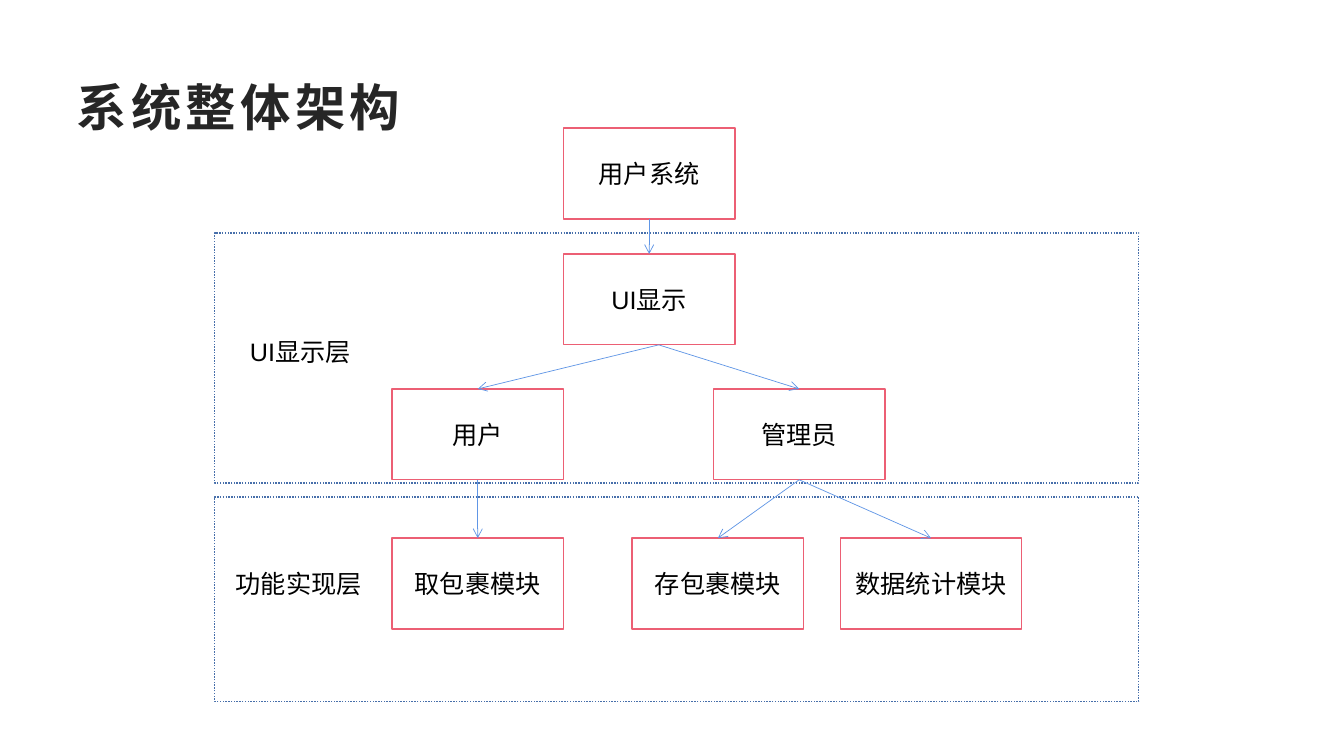
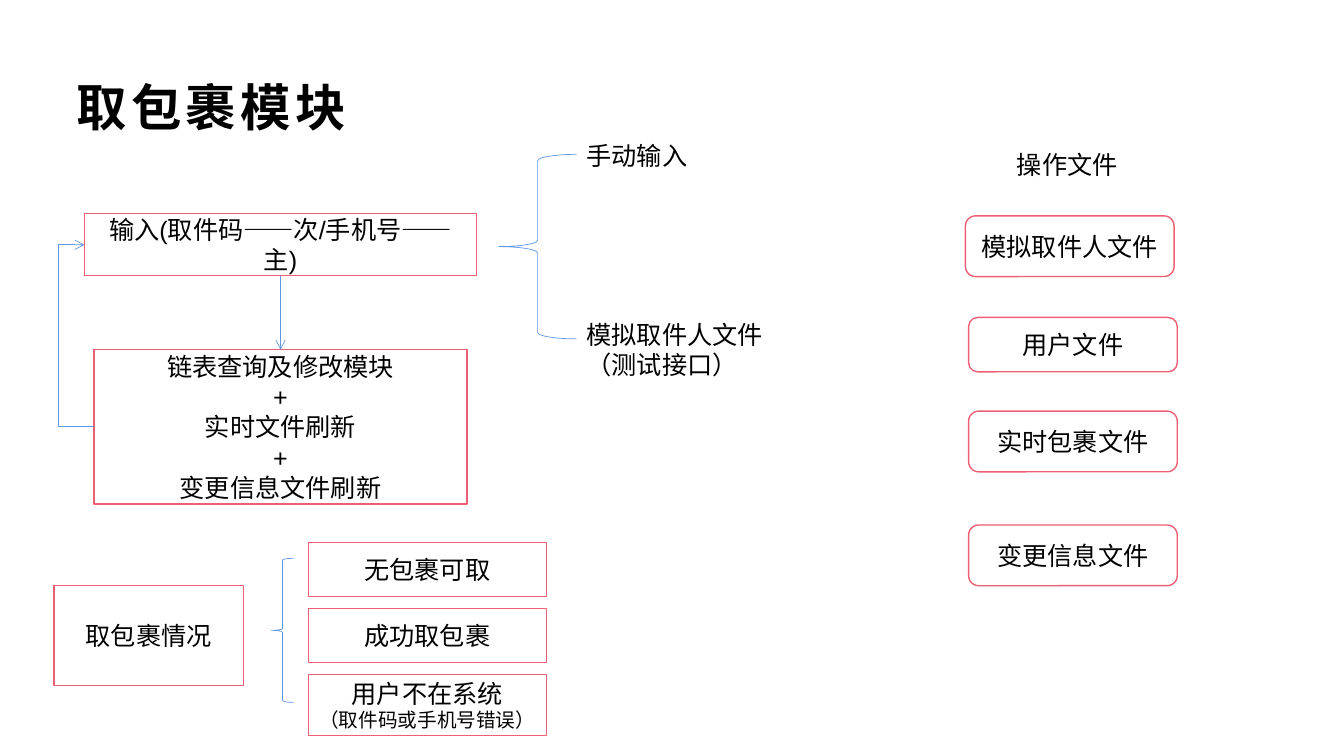
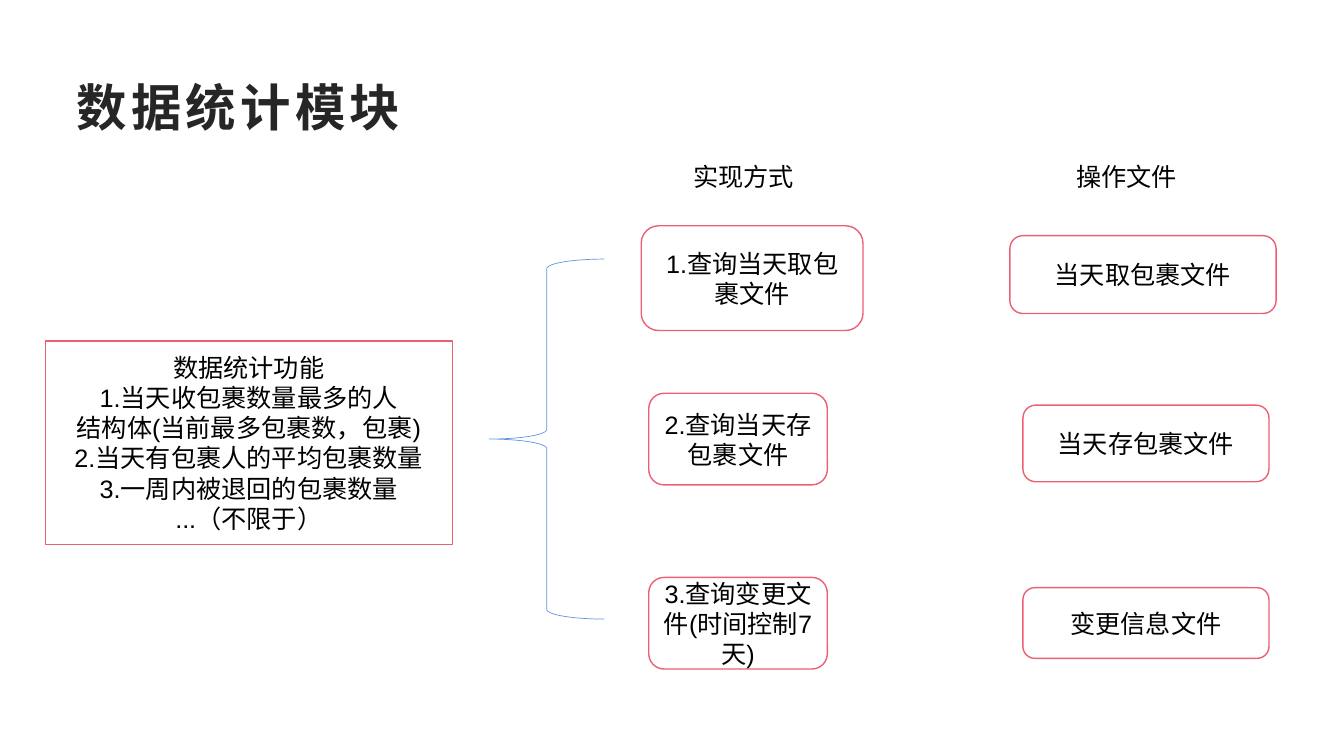
from lxml import etree
from pptx import Presentation
from pptx import util as u
from pptx.dml.color import RGBColor
from pptx.enum import dml, shapes, text
from pptx.oxml import ns

WHITE = RGBColor(0xFF, 0xFF, 0xFF)
BLACK = RGBColor(0x00, 0x00, 0x00)
CHARCOAL = RGBColor(0x26, 0x26, 0x26)
ROSE = RGBColor(0xEC, 0x5F, 0x74)
BLUE = RGBColor(0x60, 0x96, 0xE6)
NAVY = RGBColor(0x47, 0x6F, 0xAA)

FONT = "Arial"
BODY_SIZE = 18
CAPTION_HEIGHT = 1.02
RECT = shapes.MSO_SHAPE.RECTANGLE
ROUNDED = shapes.MSO_SHAPE.ROUNDED_RECTANGLE
BRACE = shapes.MSO_SHAPE.LEFT_BRACE
TOP, BOTTOM = 0, 2


def cm(*lengths):
    return [u.Cm(length) for length in lengths]


def add_run(paragraph, words, size=BODY_SIZE, color=BLACK):
    run = paragraph.add_run()
    run.text = words
    run.font.name = FONT
    run.font.size = u.Pt(size)
    run.font.color.rgb = color
    return run


def add_title(slide, words, color=CHARCOAL):
    frame = slide.shapes.add_textbox(*cm(1.69, 1.7, 30.48, 1.96)).text_frame
    frame.word_wrap = True
    frame.vertical_anchor = text.MSO_ANCHOR.MIDDLE
    run = add_run(frame.paragraphs[0], words, 36, color)
    run.font.bold = True
    run.font._element.set("spc", "300")


def add_caption(slide, words, left, top, width, height=CAPTION_HEIGHT):
    frame = slide.shapes.add_textbox(*cm(left, top, width, height)).text_frame
    frame.word_wrap = True
    frame.auto_size = text.MSO_AUTO_SIZE.SHAPE_TO_FIT_TEXT
    add_run(frame.paragraphs[0], words)


def add_outline(slide, kind, place, color, weight):
    outline = slide.shapes.add_shape(kind, *cm(*place))
    outline.shadow.inherit = False
    outline.line.color.rgb = color
    outline.line.width = u.Pt(weight)
    if kind == BRACE:
        outline.fill.background()
    else:
        outline.fill.solid()
        outline.fill.fore_color.rgb = WHITE
    return outline


def add_box(slide, lines, left, top, width, height, kind=RECT, sizes=None):
    box = add_outline(slide, kind, (left, top, width, height), ROSE, 1)
    frame = box.text_frame
    frame.word_wrap = True
    frame.vertical_anchor = text.MSO_ANCHOR.MIDDLE
    for index, words in enumerate(lines.split("\n")):
        paragraph = frame.add_paragraph() if index else frame.paragraphs[0]
        paragraph.alignment = text.PP_ALIGN.CENTER
        add_run(paragraph, words, sizes[index] if sizes else BODY_SIZE)
    return box


def add_layer(slide, top, height):
    layer = add_outline(slide, RECT, (5.41, top, 23.29, height), NAVY, 1)
    layer.line.dash_style = dml.MSO_LINE.ROUND_DOT


def add_brace(slide, *place):
    add_outline(slide, BRACE, place, BLUE, 0.5)


def add_arrow(slide, kind, begin, end):
    arrow = slide.shapes.add_connector(kind, *cm(*begin, *end))
    arrow.line.color.rgb = BLUE
    arrow.line.width = u.Pt(0.5)
    etree.SubElement(arrow.line._get_or_add_ln(), ns.qn("a:tailEnd"), type="arrow")
    etree.SubElement(arrow._element.spPr, ns.qn("a:effectLst"))
    return arrow


def link_down(slide, source, target, start=None):
    arrow = add_arrow(slide, shapes.MSO_CONNECTOR.STRAIGHT, start or (0, 0), (0, 0))
    if start is None:
        arrow.begin_connect(source, BOTTOM)
    arrow.end_connect(target, TOP)


def add_loop_back(slide, begin, end, detour):
    loop = add_arrow(slide, shapes.MSO_CONNECTOR.ELBOW, begin, end)
    share = round(detour / (begin[0] - end[0]) * 100000)
    guides = loop._element.spPr.find(ns.qn("a:prstGeom")).get_or_add_avLst()
    etree.SubElement(guides, ns.qn("a:gd"), name="adj1", fmla=f"val {share}")


def build_architecture(slide):
    add_layer(slide, 5.87, 6.3)
    add_layer(slide, 12.52, 5.16)
    add_title(slide, "系统整体架构")

    def node(words, left, top, width=4.32):
        return add_box(slide, words, left, top, width, 2.29)

    system = node("用户系统", 14.2, 3.23)
    display = node("UI显示", 14.2, 6.4)
    customer = node("用户", 9.88, 9.8)
    manager = node("管理员", 17.98, 9.8)
    pickup = node("取包裹模块", 9.88, 13.56)
    storage = node("存包裹模块", 15.93, 13.56)
    statistics = node("数据统计模块", 21.18, 13.56, 4.57)

    link_down(slide, system, display)
    for role in (customer, manager):
        link_down(slide, display, role, start=(16.6, 8.69))
    link_down(slide, customer, pickup)
    for module in (storage, statistics):
        link_down(slide, manager, module)

    add_caption(slide, "功能实现层", 5.69, 14.2, 3.84)
    add_caption(slide, "UI显示层", 6.05, 8.34, 3.84)


def build_pickup(slide):
    add_title(slide, "取包裹模块", BLACK)
    add_box(slide, "取包裹情况", 1.36, 14.76, 4.78, 2.51)
    outcomes = [
        ("无包裹可取", 1.37),
        ("成功取包裹", 1.37),
        ("用户不在系统\n（取件码或手机号错误）", 1.55),
    ]
    for row, (outcome, height) in enumerate(outcomes):
        add_box(slide, outcome, 7.77, 13.67 + row * 1.66, 6, height,
                sizes=(BODY_SIZE, 14))
    add_brace(slide, 6.84, 14.07, 0.56, 3.63)

    add_caption(slide, "操作文件", 25.38, 3.65, 3.18)
    for name, left, top, height in [
        ("模拟取件人文件", 24.33, 5.44, 1.53),
        ("用户文件", 24.41, 8, 1.37),
        ("实时包裹文件", 24.41, 10.36, 1.53),
        ("变更信息文件", 24.41, 13.23, 1.53),
    ]:
        add_box(slide, name, left, top, 5.26, height, ROUNDED)

    entry = add_box(slide, "输入(取件码——次/手机号——主)", 2.13, 5.38, 9.88, 1.57)
    add_brace(slide, 12.57, 3.89, 1.96, 4.65)
    add_caption(slide, "手动输入", 14.53, 3.4, 6.3)
    add_caption(slide, "模拟取件人文件（测试接口）", 14.53, 7.92, 5.56, 2.57)
    update = add_box(slide, "链表查询及修改模块\n+\n实时文件刷新\n+\n变更信息文件刷新",
                     2.37, 8.81, 9.4, 3.89)
    link_down(slide, entry, update)
    add_loop_back(slide, (2.37, 10.75), (2.13, 6.17), 0.9)


def build_statistics(slide):
    add_title(slide, "数据统计模块")
    add_box(slide, "数据统计功能\n1.当天收包裹数量最多的人\n"
            "结构体(当前最多包裹数，包裹)\n2.当天有包裹人的平均包裹数量\n"
            "3.一周内被退回的包裹数量\n...（不限于）", 1.14, 8.59, 10.26, 5.13)
    add_brace(slide, 12.33, 6.53, 2.9, 9.07)

    add_caption(slide, "实现方式", 17.22, 3.94, 3.51)
    add_caption(slide, "操作文件", 26.87, 3.94, 3.99)
    for words, *place in [
        ("1.查询当天取包裹文件", 16.16, 5.69, 5.59, 2.64),
        ("2.查询当天存包裹文件", 16.35, 9.91, 4.5, 2.31),
        ("3.查询变更文件(时间控制7天)", 16.35, 14.55, 4.5, 2.31),
        ("当天取包裹文件", 25.45, 5.94, 6.71, 1.96),
        ("当天存包裹文件", 25.78, 10.21, 6.2, 1.93),
        ("变更信息文件", 25.78, 14.81, 6.2, 1.78),
    ]:
        add_box(slide, words, *place, kind=ROUNDED)


def main():
    deck = Presentation()
    deck.slide_width, deck.slide_height = cm(33.87, 19.05)
    for build in (build_architecture, build_pickup, build_statistics):
        build(deck.slides.add_slide(deck.slide_layouts[6]))
    deck.save("out.pptx")


if __name__ == "__main__":
    main()
